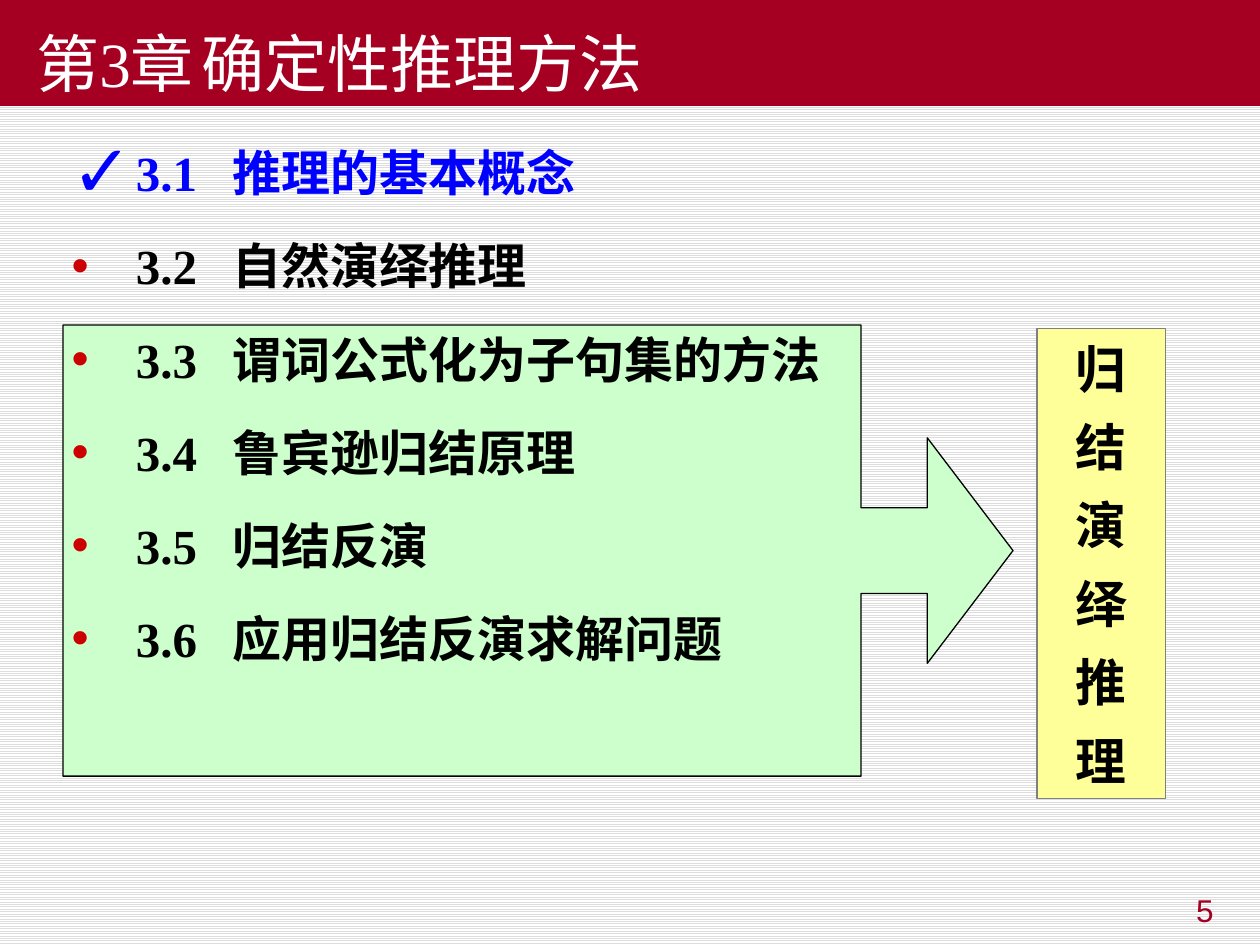
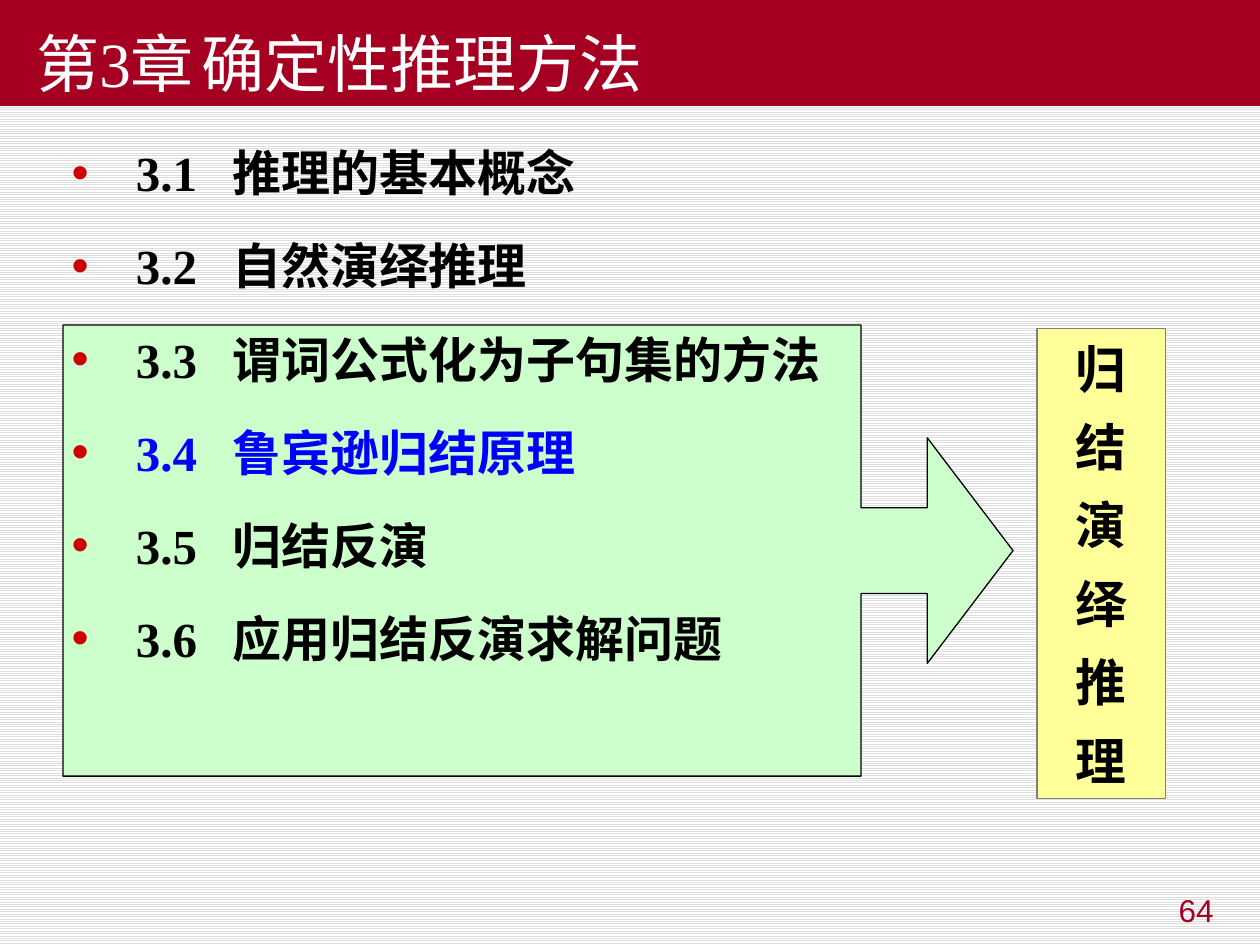
from dataclasses import dataclass
from typing import Any

import lxml.etree
import pptx
import pptx.dml.color
import pptx.enum.dml
import pptx.enum.shapes
import pptx.enum.text
import pptx.oxml.ns
import pptx.util

Inches = pptx.util.Inches
Pt = pptx.util.Pt
Shape = pptx.enum.shapes.MSO_SHAPE
Align = pptx.enum.text.PP_ALIGN
Anchor = pptx.enum.text.MSO_ANCHOR

# Shared look
RED, BLUE, BLACK, WHITE = "A50021", "0000FF", "000000", "FFFFFF"
DOT_RED, GREEN, YELLOW, GREY = "CC0000", "CCFFCC", "FFFF99", "808080"
STRIPE = "DDDDDD"
SERIF, SANS = "Times New Roman", "Arial"

# Shared wording
TITLE = ("第3章", "确定性推理方法")
TOPICS = [
    "推理的基本概念",
    "自然演绎推理",
    "谓词公式化为子句集的方法",
    "鲁宾逊归结原理",
    "归结反演",
    "应用归结反演求解问题",
]
GROUP = "归结演绎推理"


@dataclass
class Box:
    left: float
    top: float
    width: float
    height: float

    def place(self) -> tuple:
        return tuple(Inches(n) for n in (self.left, self.top, self.width, self.height))


@dataclass
class Page:
    number: int
    active: int  # topic in blue
    ticked: bool  # tick in place of its dot


PAGES = [Page(5, 1, True), Page(64, 4, False)]


def color(code: str) -> pptx.dml.color.RGBColor:
    return pptx.dml.color.RGBColor.from_string(code)


def style(para: Any, face: str, size: float, code: str, bold: bool = False) -> None:
    font = para.font
    font.name, font.size, font.bold = face, Pt(size), bold
    font.color.rgb = color(code)


def add_tag(parent: Any, name: str, **attrs: str) -> Any:
    return lxml.etree.SubElement(parent, pptx.oxml.ns.qn(name), attrs)


def set_tab(para: Any, stop: float) -> None:
    tabs = add_tag(para._p.get_or_add_pPr(), "a:tabLst")
    add_tag(tabs, "a:tab", pos=str(Inches(stop)), algn="l")


def set_dot(para: Any, mark: str, code: str, scale: int) -> None:
    props = para._p.get_or_add_pPr()
    props.set("marL", str(Inches(0.51)))
    props.set("indent", str(Inches(-0.51)))
    add_tag(add_tag(props, "a:buClr"), "a:srgbClr", val=code)
    add_tag(props, "a:buSzPct", val=str(scale * 1000))
    add_tag(props, "a:buFont", typeface=SANS)
    add_tag(props, "a:buChar", char=mark)


def add_block(slide: Any, kind: Any, box: Box, fill: str, line: str = "") -> Any:
    block = slide.shapes.add_shape(kind, *box.place())
    block.shadow.inherit = False
    block.fill.solid()
    block.fill.fore_color.rgb = color(fill)
    if line:
        block.line.color.rgb = color(line)
        block.line.width = Pt(0.75)
    else:
        block.line.fill.background()
    return block


def add_text(slide: Any, box: Box) -> Any:
    frame = slide.shapes.add_textbox(*box.place()).text_frame
    frame.word_wrap = True
    return frame


def add_paras(frame: Any, texts: list[str], gap: float) -> list:
    """Fill the frame, with a gap before every paragraph but the first."""
    paras = []
    for place, text in enumerate(texts):
        para = frame.add_paragraph() if place else frame.paragraphs[0]
        para.text = text
        if place:
            para.space_before = Pt(gap)
        paras.append(para)
    return paras


def draw_frame(slide: Any, number: int) -> None:
    # Striped ground
    ground = slide.background.fill
    ground.patterned()
    ground.pattern = pptx.enum.dml.MSO_PATTERN.LIGHT_HORIZONTAL
    ground.fore_color.rgb = color(STRIPE)
    ground.back_color.rgb = color(WHITE)

    # Title band
    band = add_block(slide, Shape.RECTANGLE, Box(0, 0, 10, 0.84), RED)
    band.text_frame.vertical_anchor = Anchor.BOTTOM
    para = band.text_frame.paragraphs[0]
    para.text = "\t".join(TITLE)
    para.alignment = Align.LEFT
    para._p.get_or_add_pPr().set("indent", str(Inches(0.19)))
    set_tab(para, 1.89)
    style(para, SERIF, 36, WHITE)

    # Page number
    para = add_text(slide, Box(7.4, 7.02, 2.33, 0.52)).paragraphs[0]
    para.text = str(number)
    para.alignment = Align.RIGHT
    style(para, SANS, 18, RED)


def draw_group(slide: Any) -> None:
    # Callout behind the last four topics
    arrow = add_block(slide, Shape.RIGHT_ARROW_CALLOUT,
                      Box(0.5, 2.58, 7.54, 3.58), GREEN, BLACK)
    for place, ratio in enumerate((0.19, 0.25, 0.19, 0.84)):
        arrow.adjustments[place] = ratio

    # Upright label
    label = add_block(slide, Shape.RECTANGLE, Box(8.23, 2.61, 1.02, 3.73), YELLOW, GREY)
    label.text_frame.vertical_anchor = Anchor.MIDDLE
    for para in add_paras(label.text_frame, list(GROUP), 10):
        para.alignment = Align.CENTER
        style(para, SANS, 29, BLACK, True)


def draw_topics(slide: Any, page: Page) -> None:
    frame = add_text(slide, Box(0.47, 0.99, 9.45, 5.91))
    texts = [f"3.{place}\t{topic}" for place, topic in enumerate(TOPICS, 1)]
    for place, para in enumerate(add_paras(frame, texts, 12.9), 1):
        active = place == page.active
        para.line_spacing = 1.2
        if active and page.ticked:
            set_dot(para, "✓", BLUE, 150)
        else:
            set_dot(para, "•", DOT_RED, 100)
        set_tab(para, 1.28)
        style(para, SERIF, 28, BLUE if active else BLACK, True)


def main() -> None:
    deck = pptx.Presentation()
    deck.slide_width, deck.slide_height = Inches(10), Inches(7.5)
    for page in PAGES:
        slide = deck.slides.add_slide(deck.slide_layouts[6])
        draw_frame(slide, page.number)
        draw_group(slide)
        draw_topics(slide, page)
    deck.save("out.pptx")


if __name__ == "__main__":
    main()
